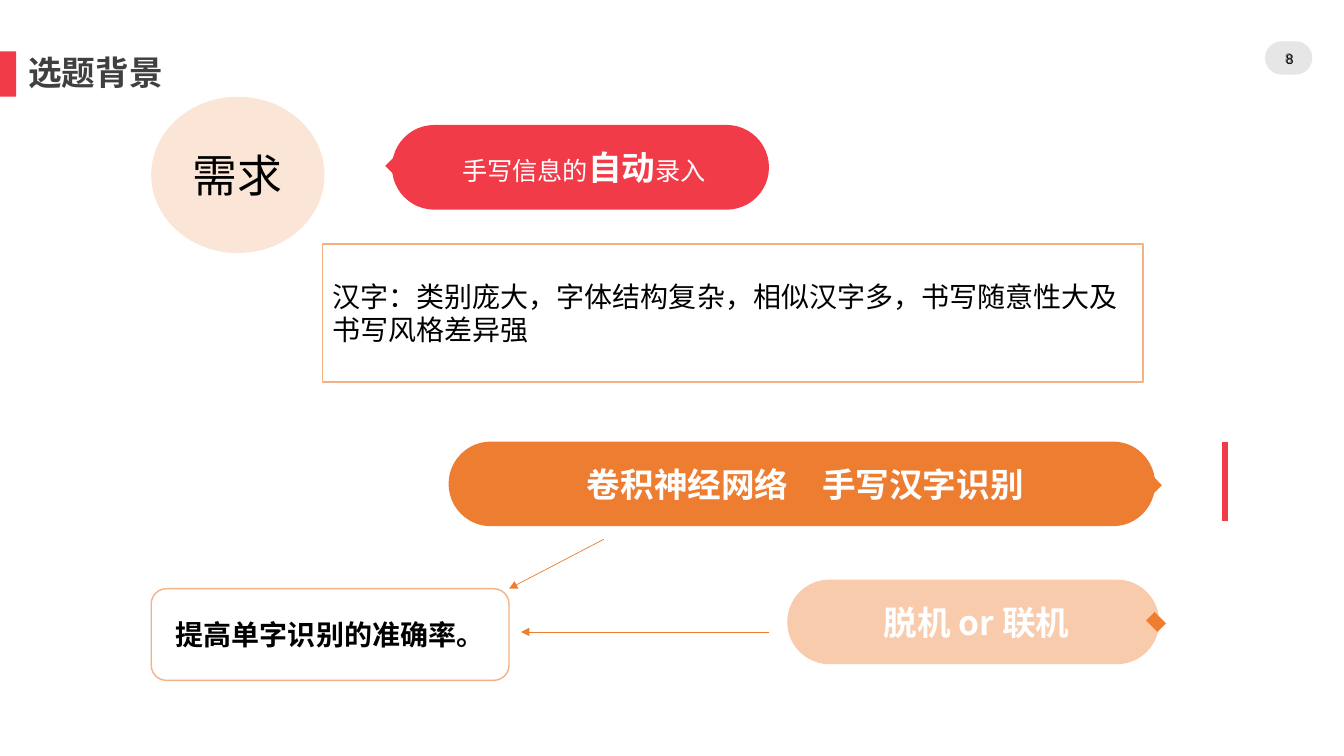
from pptx import Presentation
from pptx.dml.color import RGBColor
from pptx.enum.shapes import MSO_CONNECTOR, MSO_SHAPE
from pptx.enum.text import MSO_ANCHOR, PP_ALIGN
from pptx.oxml.ns import qn
from pptx.util import Pt
from lxml.etree import SubElement

COLORS = {
    "red": "F23B48", "orange": "ED7D31", "peach": "F8CBAD", "cream": "FBE5D6",
    "outline": "F4B183", "white": "FFFFFF", "black": "000000",
    "title": "404040", "badge": "E7E6E6", "gray": "7F7F7F",
}
CJK = "Noto Sans CJK SC"

presentation = Presentation()
presentation.slide_width, presentation.slide_height = Pt(960), Pt(540)
slide = presentation.slides.add_slide(presentation.slide_layouts[6])


def add_block(kind, box, fill, outline=None, radius=None, rotation=0):
    block = slide.shapes.add_shape(kind, *map(Pt, box))
    block.shadow.inherit = False
    block.rotation = rotation
    block.fill.solid()
    block.fill.fore_color.rgb = RGBColor.from_string(COLORS[fill])
    if outline:
        block.line.color.rgb = RGBColor.from_string(COLORS[outline])
        block.line.width = Pt(1)
    else:
        block.line.fill.background()
    if radius is not None:
        block.adjustments[0] = radius
    return block


def write(block, pieces, color, font=CJK, align=PP_ALIGN.CENTER):
    """Each piece is (text, size, bold)."""
    frame = block.text_frame
    frame.word_wrap = True
    frame.vertical_anchor = MSO_ANCHOR.MIDDLE
    paragraph = frame.paragraphs[0]
    paragraph.alignment = align
    for text, size, bold in pieces:
        run = paragraph.add_run()
        run.text = text
        run.font.size, run.font.bold, run.font.name = Pt(size), bold, font
        run.font.color.rgb = RGBColor.from_string(COLORS[color])
        SubElement(run.font._element, qn("a:ea")).set("typeface", CJK)
    return paragraph


# Header: red tab, title and page badge
add_block(MSO_SHAPE.RECTANGLE, (0, 36.7, 11.5, 32.4), "red")
add_block(MSO_SHAPE.ROUNDED_RECTANGLE, (903.6, 29.5, 33.8, 23.8), "badge", radius=0.5)
for text, box, size, bold, color, align in [
    ("选题背景", (20.2, 36.7, 301, 32.4), 24, True, "title", PP_ALIGN.LEFT),
    ("8", (903.6, 25.9, 33.8, 31), 10, False, "gray", PP_ALIGN.CENTER),
    ("8", (904.3, 34.6, 33.8, 15.1), 10, False, "black", PP_ALIGN.CENTER),
]:
    label = slide.shapes.add_textbox(*map(Pt, box))
    frame = label.text_frame
    frame.margin_left = frame.margin_right = frame.margin_top = frame.margin_bottom = 0
    paragraph = write(label, [(text, size, bold)], color, "Arial", align)
    if color == "title":
        paragraph.line_spacing = 0.9

# Demand circle, description and goal
demand = add_block(MSO_SHAPE.OVAL, (108, 69.1, 123.8, 111.6), "cream")
write(demand, [("需求", 32, False)], "black")
description = add_block(MSO_SHAPE.RECTANGLE, (230.4, 174.2, 586.1, 98.6), "white", "outline")
write(description, [("汉字：类别庞大，字体结构复杂，相似汉字多，书写随意性大及书写风格差异强", 20, False)],
      "black", align=PP_ALIGN.LEFT)
goal = add_block(MSO_SHAPE.ROUNDED_RECTANGLE, (108, 420.5, 255.6, 65.5), "white", "outline")
write(goal, [("提高单字识别的准确率。", 20, True)], "black")

# Speech pills, each with a small turned square as its pointer
for left, top, width, fill, pieces, pointer, pointer_fill, turn in [
    (280, 89.3, 269.3, "red",
     [("手写信息的", 18, False), ("自动", 24, True), ("录入", 18, False)],
     (276.5, 115.2, 11.5, 8.6), "red", 45),
    (320.4, 315.4, 504.7, "orange", [("卷积神经网络　手写汉字识别", 24, True)],
     (818.6, 339.8, 8.6, 11.5), "orange", 315),
    (562.3, 414, 265.7, "peach", [("脱机 or 联机", 24, True)],
     (821.5, 438.5, 8.6, 11.5), "orange", 315),
]:
    pill = add_block(MSO_SHAPE.ROUNDED_RECTANGLE, (left, top, width, 60.5), fill, radius=0.5)
    pill.text_frame.margin_left = Pt(12)
    write(pill, pieces, "white")
    add_block(MSO_SHAPE.RECTANGLE, pointer, pointer_fill, rotation=turn)

# Red side rule and arrows to the goal
for ends, color, weight, arrow in [
    ((874.8, 315.4, 874.8, 372.2), "red", 4, False),
    ((431.3, 385.2, 363.6, 420.5), "orange", 0.5, True),
    ((549.4, 451.4, 372.2, 451.4), "orange", 0.5, True),
]:
    rule = slide.shapes.add_connector(MSO_CONNECTOR.STRAIGHT, *map(Pt, ends))
    rule.line.color.rgb = RGBColor.from_string(COLORS[color])
    rule.line.width = Pt(weight)
    if arrow:
        SubElement(rule.line._get_or_add_ln(), qn("a:tailEnd")).set("type", "triangle")
    SubElement(rule._element.spPr, qn("a:effectLst"))

presentation.save("out.pptx")
